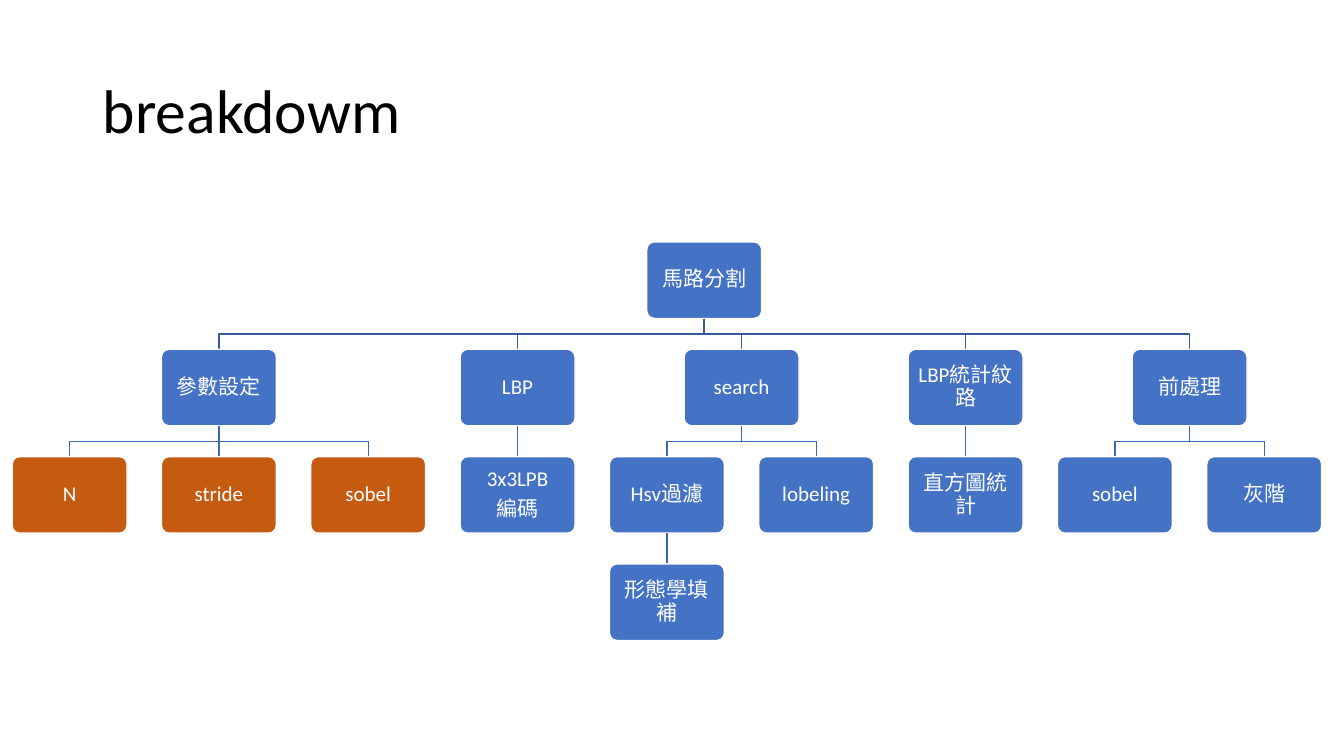
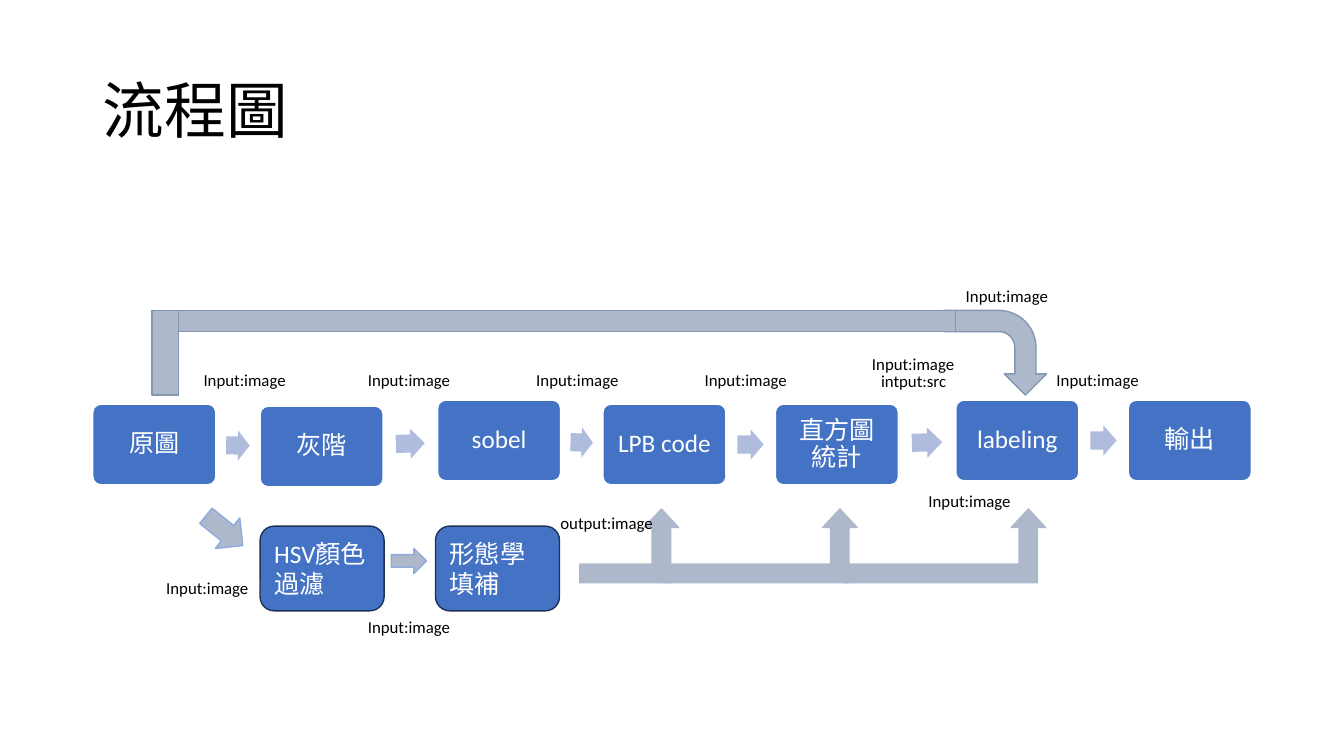
from itertools import pairwise
from math import atan2, degrees

from lxml import etree
from pptx import Presentation
from pptx.dml.color import RGBColor
from pptx.enum.shapes import MSO_CONNECTOR as Link, MSO_SHAPE as Preset
from pptx.enum.text import MSO_ANCHOR as Anchor, MSO_AUTO_SIZE as AutoSize, PP_ALIGN as Align
from pptx.oxml.ns import qn
from pptx.util import Inches, Pt

COLORS = {
    "black": "000000", "white": "FFFFFF", "blue": "4472C4", "orange": "C55A11",
    "trunk": "365B9D", "branch": "3E67B2", "navy": "1E3256", "step arrow": "B0BCDE",
    "gray": "ADB9CA", "slate": "8497B0", "light blue": "8FAADC",
}
FONT = "Calibri"
WIDTH, HEIGHT = 13.33, 7.5


def write(frame, text, size, color, align=Align.LEFT, spacing=1.0, after=0):
    """Fill a text frame, one paragraph for each line of text."""
    frame.text = text
    frame.vertical_anchor = Anchor.MIDDLE
    for para in frame.paragraphs:
        para.alignment, para.line_spacing, para.space_after = align, spacing, Pt(after)
        para.font.name, para.font.size = FONT, Pt(size)
        para.font.color.rgb = RGBColor.from_string(COLORS[color])


def add_box(page, preset, place, fill, line=None, adjust=(), turn=0, inset=0.1):
    """Add a flat preset shape; place is left, top, width, height in inches."""
    box = page.shapes.add_shape(preset, *map(Inches, place))
    box.shadow.inherit = False
    box.rotation = turn
    box.fill.solid()
    box.fill.fore_color.rgb = RGBColor.from_string(COLORS[fill])
    if line:
        box.line.color.rgb = RGBColor.from_string(COLORS[line])
        box.line.width = Pt(1)
    else:
        box.line.fill.background()
    for index, value in enumerate(adjust):
        box.adjustments[index] = value
    frame = box.text_frame
    frame.margin_left = frame.margin_right = Inches(inset)
    frame.margin_top = frame.margin_bottom = Inches(min(inset, 0.08))
    return box


deck = Presentation()
deck.slide_width, deck.slide_height = Inches(WIDTH), Inches(HEIGHT)
layout = deck.slide_layouts.get_by_name("Title Only")
pages = []
for heading in ("breakdowm", "流程圖"):
    page = deck.slides.add_slide(layout)
    title = page.shapes.title
    title.left, title.top = Inches(0.92), Inches(0.4)
    title.width, title.height = Inches(11.5), Inches(1.45)
    write(title.text_frame, heading, 44, "black", spacing=0.9)
    title.text_frame.auto_size = AutoSize.NONE
    pages.append(page)
tree_page, flow_page = pages

# Breakdown tree: name, grid column, grid row, index of the parent, fill
COLUMN, ROW = WIDTH / 9, 1.065
FIRST_CENTER, FIRST_TOP = 0.69, 2.4
NODE_WIDTH, NODE_HEIGHT = 1.14, 0.76
nodes = [
    ("馬路分割", 4.25, 0, None, "blue"),
    ("參數設定", 1, 1, 0, "blue"),
    ("LBP", 3, 1, 0, "blue"),
    ("search", 4.5, 1, 0, "blue"),
    ("LBP統計紋路", 6, 1, 0, "blue"),
    ("前處理", 7.5, 1, 0, "blue"),
    ("N", 0, 2, 1, "orange"),
    ("stride", 1, 2, 1, "orange"),
    ("sobel", 2, 2, 1, "orange"),
    ("3x3LPB\n編碼", 3, 2, 2, "blue"),
    ("Hsv過濾", 4, 2, 3, "blue"),
    ("lobeling", 5, 2, 3, "blue"),
    ("直方圖統計", 6, 2, 4, "blue"),
    ("sobel", 7, 2, 5, "blue"),
    ("灰階", 8, 2, 5, "blue"),
    ("形態學填補", 4, 3, 10, "blue"),
]
for name, column, row, parent, fill in nodes:
    center, top = FIRST_CENTER + column * COLUMN, FIRST_TOP + row * ROW
    if parent is not None:
        start = FIRST_CENTER + nodes[parent][1] * COLUMN
        bottom = top - ROW + NODE_HEIGHT
        middle = (bottom + top) / 2
        if start == center:
            link = tree_page.shapes.add_connector(
                Link.STRAIGHT, *map(Inches, (start, bottom, center, top)))
            etree.SubElement(link._element.spPr, qn("a:effectLst"))
        else:
            outline = tree_page.shapes.build_freeform(Inches(start), Inches(bottom))
            corners = [(start, middle), (center, middle), (center, top)]
            outline.add_line_segments([(Inches(x), Inches(y)) for x, y in corners], close=False)
            link = outline.convert_to_shape()
            link.fill.background()
            link.shadow.inherit = False
        link.line.color.rgb = RGBColor.from_string(COLORS["trunk" if row == 1 else "branch"])
        link.line.width = Pt(1)
    place = (center - NODE_WIDTH / 2, top, NODE_WIDTH, NODE_HEIGHT)
    box = add_box(tree_page, Preset.ROUNDED_RECTANGLE, place, fill, "white", [0.1], inset=0.08)
    write(box.text_frame, name, 15, "white", Align.CENTER, 0.9, after=5)

# Main row of the flow chart: name, left, top
STEP_WIDTH, STEP_HEIGHT = 1.22, 0.8
steps = [
    ("原圖", 0.92, 4.01), ("灰階", 2.58, 4.03), ("sobel", 4.34, 3.97), ("LPB code", 5.98, 4.01),
    ("直方圖統計", 7.69, 4.01), ("labeling", 9.48, 3.97), ("輸出", 11.19, 3.97),
]
for name, left, top in steps:
    box = add_box(flow_page, Preset.ROUNDED_RECTANGLE, (left, top, STEP_WIDTH, STEP_HEIGHT),
                  "blue", "white", [0.1], inset=0.09)
    write(box.text_frame, name, 18, "white", Align.CENTER, 0.9)
for (_, left, top), (_, next_left, next_top) in pairwise(steps):
    gap = next_left - left - STEP_WIDTH
    length, thickness = 0.53 * gap, 0.3
    place = (next_left - (gap + length) / 2,
             (top + next_top + STEP_HEIGHT - thickness) / 2, length, thickness)
    add_box(flow_page, Preset.RIGHT_ARROW, place, "step arrow", adjust=[0.6, 0.5],
            turn=degrees(atan2(next_top - top, next_left - left)))

# Lower branch
for name, left in (("HSV顏色過濾", 2.58), ("形態學填補", 4.32)):
    box = add_box(flow_page, Preset.ROUNDED_RECTANGLE, (left, 5.22, 1.23, 0.84), "blue", "navy")
    write(box.text_frame, name, 18, "white")
add_box(flow_page, Preset.RIGHT_ARROW, (1.99, 5.07, 0.47, 0.39), "gray", "light blue", turn=38.8)
add_box(flow_page, Preset.RIGHT_ARROW, (3.88, 5.44, 0.35, 0.25), "gray", "light blue")
for left, right in ((5.75, 6.73), (6.58, 8.5), (8.37, 10.37)):
    add_box(flow_page, Preset.BENT_UP_ARROW, (left, 5.05, right - left, 0.73),
            "gray", "gray", [0.25, 0.233, 0.25])

# Bypass from the first step to labeling
add_box(flow_page, Preset.BENT_ARROW, (9.45, 2.99, 0.84, 1.02), "gray", "slate", turn=90)
for place in ((1.75, 3.08, 7.73, 0.21), (1.51, 3.08, 0.26, 0.84)):
    add_box(flow_page, Preset.RECTANGLE, place, "gray", "slate")

INPUT = "Input:image"
labels = [(INPUT, left, 3.62, 1.02) for left in (1.92, 3.55, 5.22, 6.89, 10.38)]
labels += [(INPUT, left, top, 1.02) for left, top in
           ((1.55, 5.68), (3.55, 6.07), (8.55, 3.46), (9.48, 2.78), (9.11, 4.82))]
labels += [("intput:src", 8.64, 3.63, 0.85), ("output:image", 5.46, 5.04, 1.13)]
for text, left, top, width in labels:
    label = flow_page.shapes.add_textbox(*map(Inches, (left, top, width, 0.3)))
    label.text_frame.word_wrap = False
    write(label.text_frame, text, 12, "black")

deck.save("out.pptx")
